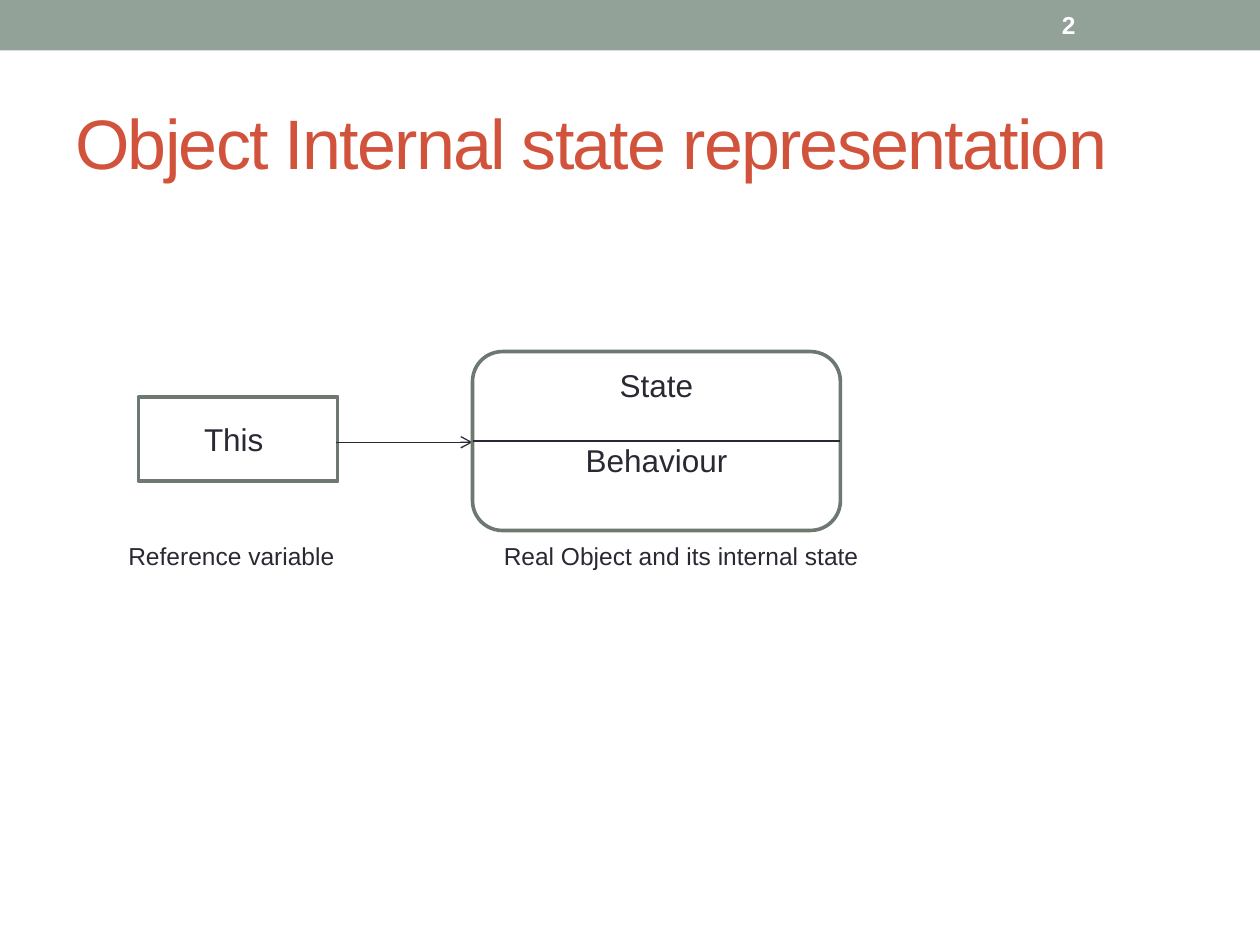
"""Build a slide showing a reference variable that points to an object's internal state."""
import pptx
import pptx.dml.color
import pptx.enum.shapes
import pptx.enum.text
import pptx.oxml
import pptx.oxml.ns
import pptx.util

Inches = pptx.util.Inches
Pt = pptx.util.Pt
RGBColor = pptx.dml.color.RGBColor
Shape = pptx.enum.shapes.MSO_SHAPE
Anchor = pptx.enum.text.MSO_ANCHOR
Align = pptx.enum.text.PP_ALIGN

SAGE = RGBColor(0x93, 0xA2, 0x99)
OUTLINE = RGBColor(0x6D, 0x78, 0x71)
BRICK = RGBColor(0xD2, 0x53, 0x3C)
INK = RGBColor(0x29, 0x29, 0x34)
WHITE = RGBColor(0xFF, 0xFF, 0xFF)


class SlideBuilder:
    def __init__(self, deck):
        self.page = deck.slides.add_slide(deck.slide_layouts[6])
        self.font = {"name": "Arial", "size": Pt(18), "bold": False}

    def label(self, box, lines, color, align=Align.LEFT, anchor=Anchor.MIDDLE,
              gap=0, spacing=0, **font):
        frame = box.text_frame
        frame.word_wrap = True
        frame.vertical_anchor = anchor
        for index, line in enumerate(lines):
            para = frame.paragraphs[0] if index == 0 else frame.add_paragraph()
            para.alignment = align
            para.space_before = Pt(gap if index else 0)
            span = para.add_run()
            span.text = line
            for name, value in {**self.font, **font}.items():
                setattr(span.font, name, value)
            span.font.color.rgb = color
            if spacing:
                span.font._element.set("spc", str(spacing))

    def text(self, area, line, color, **style):
        box = self.page.shapes.add_textbox(*map(Inches, area))
        self.label(box, [line], color, **style)

    def shape(self, kind, area, fill=None, outline=None):
        box = self.page.shapes.add_shape(kind, *map(Inches, area))
        box.shadow.inherit = False
        if fill is None:
            box.fill.background()
        else:
            box.fill.solid()
            box.fill.fore_color.rgb = fill
        if outline is None:
            box.line.fill.background()
        else:
            box.line.color.rgb = outline
            box.line.width = Pt(2.08)
        return box

    def line(self, left, right, height, arrow=False):
        link = self.page.shapes.add_connector(
            pptx.enum.shapes.MSO_CONNECTOR.STRAIGHT,
            *map(Inches, (left, height, right, height)))
        link.line.color.rgb = INK
        link.line.width = Pt(0.75)
        namespace = pptx.oxml.ns.nsdecls("a")
        if arrow:
            link.line._get_or_add_ln().append(
                pptx.oxml.parse_xml(f'<a:tailEnd {namespace} type="arrow"/>'))
        link._element.spPr.append(pptx.oxml.parse_xml(f"<a:effectLst {namespace}/>"))


def main():
    deck = pptx.Presentation()
    deck.slide_width, deck.slide_height = Inches(10), Inches(7.5)
    slide = SlideBuilder(deck)

    slide.shape(Shape.RECTANGLE, (0, 0, 10, 0.4), fill=SAGE)
    slide.text((8.33, 0.02, 1.17, 0.36), "2", WHITE, size=Pt(14), bold=True)
    slide.text((0.5, 0.58, 9, 1.08), "Object Internal state representation",
               BRICK, size=Pt(40), spacing=-100)

    reference = slide.shape(Shape.RECTANGLE, (1.1, 3.15, 1.58, 0.67), outline=OUTLINE)
    slide.label(reference, ["This "], INK, align=Align.CENTER)

    left, right = 3.75, 6.67
    slide.line(2.67, left, 3.51, arrow=True)
    target = slide.shape(Shape.ROUNDED_RECTANGLE, (left, 2.79, right - left, 1.42),
                         fill=WHITE, outline=OUTLINE)
    slide.label(target, ["State", "Behaviour"], INK, align=Align.CENTER,
                anchor=Anchor.TOP, gap=21)
    slide.line(left, right, 3.5)

    captions = {0.92: "Reference variable", 3.9: "Real Object and its internal state"}
    for start, caption in captions.items():
        slide.text((start, 4.25, 3.2, 0.32), caption, INK, size=Pt(14))

    deck.save("out.pptx")


if __name__ == "__main__":
    main()
